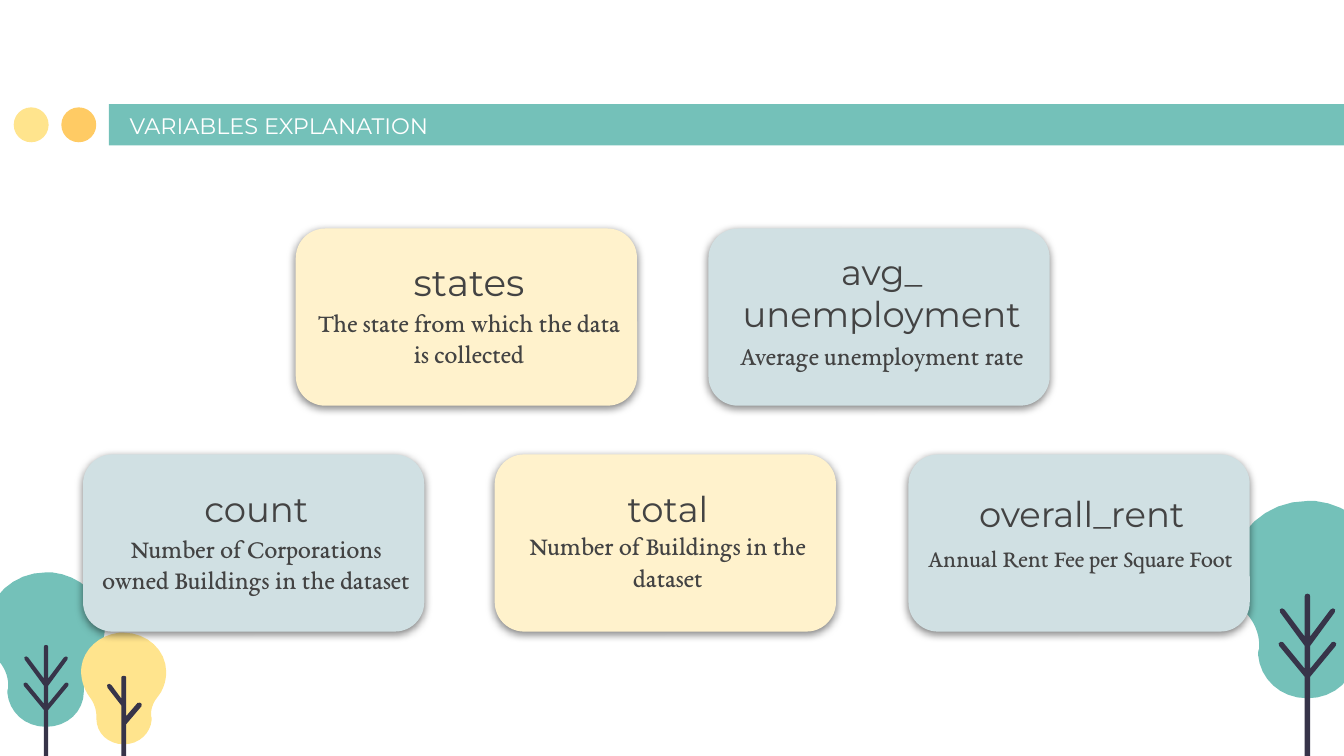
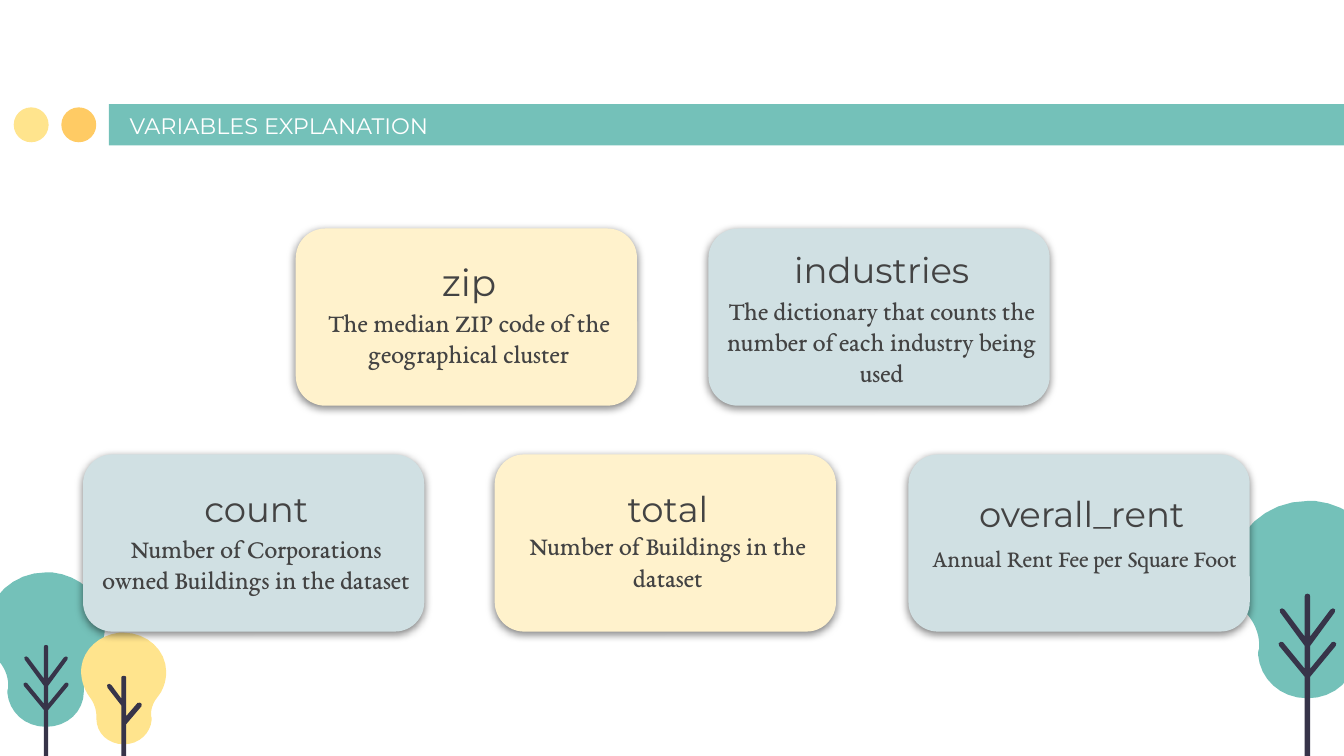
import pptx
import pptx.util
from lxml import etree
from pptx.dml.color import RGBColor
from pptx.enum.shapes import MSO_SHAPE
from pptx.enum.text import MSO_ANCHOR, PP_ALIGN
from pptx.oxml.ns import qn
from pptx.util import Cm, Pt

COLORS = {
    "teal": "74C1B9", "yellow": "FFE48D", "orange": "FFCB64", "trunk": "373449",
    "cream": "FFF2CC", "mist": "D0E0E3", "text": "434343", "white": "FFFFFF",
}
HEAD_FONT, BODY_FONT = "Montserrat", "EB Garamond"
TITLE = "VARIABLES EXPLANATION"

CARD_W, CARD_H = 6.45, 3.35
TOP_ROW, BOTTOM_ROW = 4.32, 8.59
# left, top, fill of each card
SLOTS = [
    (13.39, TOP_ROW, "mist"), (5.59, TOP_ROW, "cream"),
    (1.57, BOTTOM_ROW, "mist"), (9.35, BOTTOM_ROW, "cream"), (17.17, BOTTOM_ROW, "mist"),
]

# heading, its size and drop; body, its size, drop, width and shift
COUNT = ("count", 19, 0.36, "Number of Corporations owned Buildings in the dataset",
         14, 1.22, CARD_W, 0.05)
TOTAL = ("total", 19, 0.36, "Number of Buildings in the dataset", 14, 1.17, CARD_W, 0.05)
RENT = ("overall_rent", 19, 0.46, "Annual Rent Fee per Square Foot", 13, 1.42, 7.24)
SLIDES = [
    [("avg_\nunemployment", 19, 0.56, "Average unemployment rate", 14, 1.85, CARD_W, 0.05),
     ("states", 20, 0.36, "The state from which the data is collected", 14, 1.22, CARD_W, 0.05),
     COUNT, TOTAL, RENT + (-0.38,)],
    [("industries", 19, 0.13, "The dictionary that counts the number of each industry being used",
      14, 0.99, CARD_W, 0.05),
     ("zip", 20, 0.36, "The median ZIP code of the geographical cluster", 14, 1.22, CARD_W, 0.05),
     COUNT, TOTAL, RENT + (-0.3,)],
]

# Tree outlines: percent of the crown height, measured from the crown's top centre
CROWN = [
    ((-21, 0), (-38, 16), (-38, 35)), ((-38, 44), (-35, 52), (-30, 58)),
    ((-26, 63), (-24, 69), (-24.5, 75)), ((-25, 76), (-25, 77), (-25, 78)),
    ((-24, 90), (-14, 100), (0, 100)), ((14, 100), (24.5, 90), (24.5, 77)),
    ((24, 69), (27, 62), (31, 57)), ((36, 50), (39, 40), (38, 31)),
    ((36, 15), (22, 2), (4, 0)),
]
HALF_STEM = [
    (0, 47), (-1, 47.3), (-1.4, 48.3), (-1.4, 68.7), (-11.6, 55.1), (-12.9, 54.4),
    (-14, 55), (-13.8, 56.5), (-2, 72.6), (-1.4, 73.4), (-1.4, 85), (-12.4, 71.6),
    (-13.6, 71.4), (-14.6, 72.2), (-14.3, 73.5), (-1.4, 89.1), (-1.4, 160.8), (0, 161.8),
]
FULL_STEM = HALF_STEM + [(-x, y) for x, y in HALF_STEM[-2:0:-1]]
SMALL_STEM = [
    (0, 38.6), (-1.6, 39), (-2.2, 40), (-2.2, 59), (-11, 47), (-13, 45.8), (-15, 46.8),
    (-14.5, 49.4), (-2.2, 65.2), (-2.2, 131.5), (0, 132.5), (2.2, 131.5), (2.2, 82),
    (15.8, 66), (16, 63.8), (14.5, 62.7), (12.3, 63), (2.2, 74.7), (2.2, 40), (1.6, 39),
]
# centre, top, crown height, crown colour, stem, mirrored
LEFT_TREES = [(0.87, 10.82, 2.92, "teal", FULL_STEM, 1),
              (2.34, 11.96, 2.11, "yellow", SMALL_STEM, -1)]
RIGHT_TREES = [(24.71, 9.47, 3.73, "teal", FULL_STEM, 1)]


def rgb(name):
    return RGBColor.from_string(COLORS[name])


def paint(sp, color):
    sp.shadow.inherit = False
    sp.fill.solid()
    sp.fill.fore_color.rgb = rgb(color)
    sp.line.fill.background()


def add_block(s, kind, x, y, w, h, color):
    sp = s.shapes.add_shape(kind, Cm(x), Cm(y), Cm(w), Cm(h))
    paint(sp, color)
    return sp


def add_text(s, text, x, y, w, h, size, font, color="text",
             anchor=MSO_ANCHOR.TOP, align=PP_ALIGN.CENTER):
    tf = s.shapes.add_textbox(Cm(x), Cm(y), Cm(w), Cm(h)).text_frame
    tf.word_wrap = True
    tf.vertical_anchor = anchor
    tf.margin_left = tf.margin_right = tf.margin_top = tf.margin_bottom = Cm(0.25)
    tf.text = text
    for p in tf.paragraphs:
        p.alignment = align
        for r in p.runs:
            r.font.size = Pt(size)
            r.font.name = font
            r.font.color.rgb = rgb(color)


def flatten(curves, start=(0, 0), steps=8):
    """Turn cubic Bezier segments into a list of points."""
    points = [start]
    for a, b, end in curves:
        for t in (i / steps for i in range(1, steps + 1)):
            u = 1 - t
            points.append(tuple(
                u**3 * p0 + 3 * u * u * t * p1 + 3 * u * t * t * p2 + t**3 * p3
                for p0, p1, p2, p3 in zip(start, a, b, end)))
        start = end
    return points


def add_tree(s, cx, top, height, color, stem, flip):
    group = s.shapes.add_group_shape()
    crown = [(flip * x, y) for x, y in flatten(CROWN)]
    for outline, fill in ((crown, color), (stem, "trunk")):
        points = [(Cm(cx + x * height / 100), Cm(top + y * height / 100)) for x, y in outline]
        builder = group.shapes.build_freeform(*points[0])
        builder.add_line_segments(points[1:], close=True)
        paint(builder.convert_to_shape(), fill)


def add_soft_shadow(sp):
    effects = sp._element.spPr.find(qn("a:effectLst"))
    shadow = etree.SubElement(effects, qn("a:outerShdw"), blurRad=str(Pt(4.5)),
                              dist=str(Pt(1.5)), dir=str(98 * 60000),
                              algn="bl", rotWithShape="0")
    black = etree.SubElement(shadow, qn("a:srgbClr"), val="000000")
    etree.SubElement(black, qn("a:alpha"), val="50000")


def add_card(s, slot, card):
    x, y, fill = slot
    head, head_size, head_drop, body, body_size, body_drop, body_w, shift = card
    add_soft_shadow(add_block(s, MSO_SHAPE.FLOWCHART_ALTERNATE_PROCESS,
                              x, y, CARD_W, CARD_H, fill))
    add_text(s, body, x + shift, y + body_drop, body_w, 1.7, body_size, BODY_FONT)
    add_text(s, head, x + 0.05, y + head_drop, CARD_W, 1.3, head_size, HEAD_FONT,
             anchor=MSO_ANCHOR.MIDDLE)


def add_frame(s):
    """Title band, dots and trees shared by every slide."""
    add_block(s, MSO_SHAPE.RECTANGLE, 2.06, 1.97, 24.13, 0.78, "teal")
    for x, color in ((1.16, "orange"), (0.26, "yellow")):
        add_block(s, MSO_SHAPE.OVAL, x, 2.03, 0.66, 0.66, color)
    for tree in LEFT_TREES:
        add_tree(s, *tree)
    add_text(s, TITLE, 2.2, 2.01, 13.92, 0.86, 12, HEAD_FONT, "white",
             MSO_ANCHOR.BOTTOM, PP_ALIGN.LEFT)
    for tree in RIGHT_TREES:
        add_tree(s, *tree)


def main():
    prs = pptx.Presentation()
    prs.slide_width, prs.slide_height = Cm(25.4), Cm(14.29)
    for cards in SLIDES:
        s = prs.slides.add_slide(prs.slide_layouts[6])
        add_frame(s)
        for slot, card in zip(SLOTS, cards):
            add_card(s, slot, card)
    prs.save("out.pptx")


if __name__ == "__main__":
    main()
